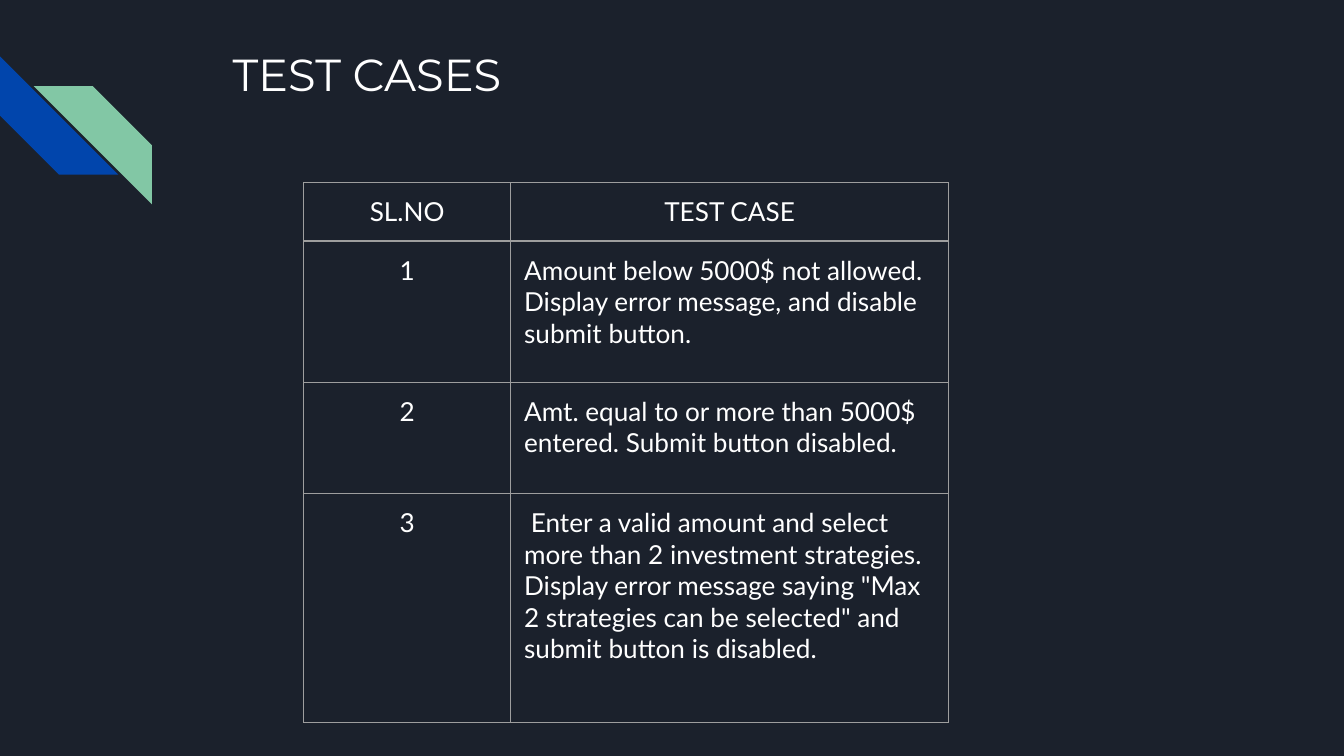
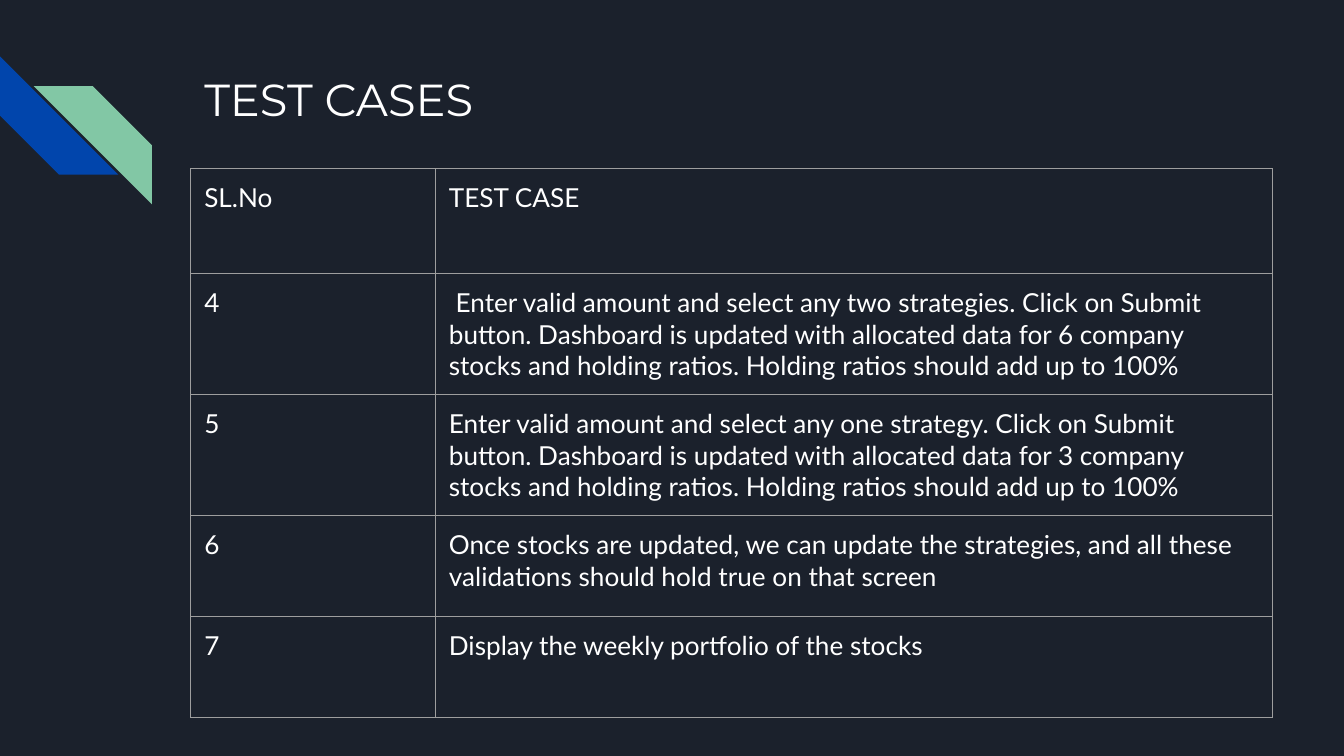
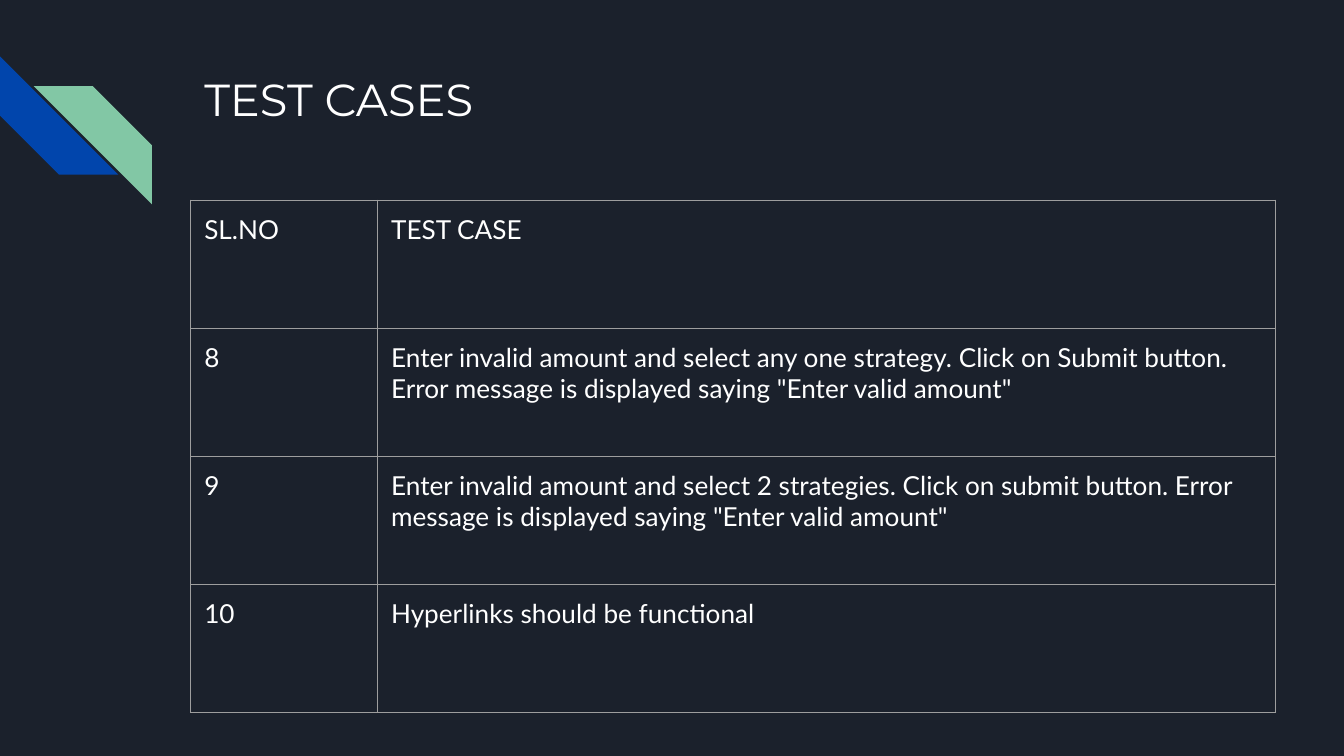
from dataclasses import dataclass

from lxml import etree
from pptx import Presentation, util as u
from pptx.dml.color import RGBColor
from pptx.enum import shapes, text
from pptx.oxml import ns

# Shared look
BACKGROUND, BLUE, GREEN = "1B212C", "0145AC", "82C7A5"
WHITE, BORDER = "FFFFFF", "9E9E9E"
TITLE_FONT, BODY_FONT = "Montserrat", "Lato"
TITLE_SIZE, BODY_SIZE, BORDER_WIDTH = 24, 14, 0.75
TITLE_ONLY = 5

# Square grid: the slide is 100 columns wide and 56.25 rows high
SLIDE_WIDTH, SLIDE_HEIGHT = u.Inches(10), u.Inches(5.625)
INSET = 1
TITLE_COLUMNS, TITLE_ROWS = 77, 10


@dataclass(frozen=True)
class Stripe:
    left: float
    top: float
    color: str
    rotation: int = 0
    mirrored: bool = False


@dataclass(frozen=True)
class TestSlide:
    title_at: tuple[float, float]
    table_at: tuple[float, float]
    columns: list[float]
    rows: list[float]
    cases: list[tuple[str, str]]
    centered: bool = False


STRIPE_SIZE = 8.8
STRIPES = [
    Stripe(0, 4.2, BLUE, rotation=270),
    Stripe(2.5, 6.4, GREEN, mirrored=True),
]

TEST_SLIDES = [
    TestSlide((16.3, 2.5), (22.6, 13.6), [15.4, 32.6], [4.3, 10.5, 8.3, 17], [
        ("SL.NO", "TEST CASE"),
        ("1", "Amount below 5000$ not allowed. Display error message, and disable "
              "submit button."),
        ("2", "Amt. equal to or more than 5000$ entered. Submit button disabled."),
        ("3", " Enter a valid amount and select more than 2 investment strategies. "
              'Display error message saying "Max 2 strategies can be selected" and '
              "submit button is disabled."),
    ], centered=True),
    TestSlide((14.2, 4.3), (14.2, 12.55), [18.2, 62.3], [7.8, 9, 9, 7.5, 7.5], [
        ("SL.No", "TEST CASE"),
        ("4", " Enter valid amount and select any two strategies. Click on Submit "
              "button. Dashboard is updated with allocated data for 6 company stocks "
              "and holding ratios. Holding ratios should add up to 100%"),
        ("5", "Enter valid amount and select any one strategy. Click on Submit "
              "button. Dashboard is updated with allocated data for 3 company stocks "
              "and holding ratios. Holding ratios should add up to 100%"),
        ("6", "Once stocks are updated, we can update the strategies, and all these "
              "validations should hold true on that screen"),
        ("7", "Display the weekly portfolio of the stocks"),
    ]),
    TestSlide((14.2, 4.3), (14.2, 14.9), [13.9, 66.8], [9.53] * 4, [
        ("SL.NO", "TEST CASE"),
        ("8", "Enter invalid amount and select any one strategy. Click on Submit "
              'button. Error message is displayed saying "Enter valid amount"'),
        ("9", "Enter invalid amount and select 2 strategies. Click on submit button. "
              'Error message is displayed saying "Enter valid amount"'),
        ("10", "Hyperlinks should be functional"),
    ]),
]


def grid(steps: float) -> int:
    return round(SLIDE_WIDTH * steps / 100)


def paint(fill, color: str) -> None:
    fill.solid()
    fill.fore_color.rgb = RGBColor.from_string(color)


def set_insets(holder) -> None:
    for side in ("left", "top", "right", "bottom"):
        setattr(holder, f"margin_{side}", grid(INSET))


def write(frame, words: str, font: str, size: float, centered: bool = False) -> None:
    paragraph = frame.paragraphs[0]
    paragraph.alignment = text.PP_ALIGN.CENTER if centered else text.PP_ALIGN.LEFT
    run = paragraph.add_run()
    run.text = words
    run.font.name, run.font.size = font, u.Pt(size)
    paint(run.font.fill, WHITE)


def add_stripes(presentation, slide) -> None:
    """Draw the corner stripes and move them to the master, behind everything."""
    master_tree = presentation.slide_master.shapes.element
    for order, stripe in enumerate(STRIPES):
        shape = slide.shapes.add_shape(
            shapes.MSO_SHAPE.DIAGONAL_STRIPE, grid(stripe.left), grid(stripe.top),
            grid(STRIPE_SIZE), grid(STRIPE_SIZE))
        shape.adjustments[0] = 0.5
        shape.rotation = stripe.rotation
        shape.shadow.inherit = False
        shape.line.fill.background()
        paint(shape.fill, stripe.color)
        if stripe.mirrored:
            shape.element.find(".//" + ns.qn("a:xfrm")).set("flipH", "1")
        shape.element.find(".//" + ns.qn("p:cNvPr")).set("id", str(100 + order))
        master_tree.insert(2 + order, shape.element)


def add_title(slide, left: float, top: float) -> None:
    title = slide.shapes.title
    title.left, title.top = grid(left), grid(top)
    title.width, title.height = grid(TITLE_COLUMNS), grid(TITLE_ROWS)
    frame = title.text_frame
    frame.word_wrap = True
    frame.auto_size = text.MSO_AUTO_SIZE.NONE
    frame.vertical_anchor = text.MSO_ANCHOR.TOP
    set_insets(frame)
    write(frame, "TEST CASES", TITLE_FONT, TITLE_SIZE)


def add_borders(cell_properties) -> None:
    for position, side in enumerate("LRTB"):
        line = etree.Element(ns.qn(f"a:ln{side}"), w=str(u.Pt(BORDER_WIDTH)))
        fill = etree.SubElement(line, ns.qn("a:solidFill"))
        etree.SubElement(fill, ns.qn("a:srgbClr"), val=BORDER)
        cell_properties.insert(position, line)


def add_case_table(slide, content: TestSlide) -> None:
    left, top = content.table_at
    graphic = slide.shapes.add_table(
        len(content.rows), len(content.columns), grid(left), grid(top),
        grid(sum(content.columns)), grid(sum(content.rows)))
    table = graphic.table
    table.first_row = table.horz_banding = False
    for column, width in zip(table.columns, content.columns):
        column.width = grid(width)
    for row, height, case in zip(table.rows, content.rows, content.cases):
        row.height = grid(height)
        is_header = case is content.cases[0]
        for index, (cell, words) in enumerate(zip(row.cells, case)):
            cell.fill.background()
            set_insets(cell)
            centered = content.centered and (is_header or index == 0)
            write(cell.text_frame, words, BODY_FONT, BODY_SIZE, centered)
    for cell_properties in graphic.element.iter(ns.qn("a:tcPr")):
        add_borders(cell_properties)


def main() -> None:
    presentation = Presentation()
    presentation.slide_width, presentation.slide_height = SLIDE_WIDTH, SLIDE_HEIGHT
    paint(presentation.slide_master.background.fill, BACKGROUND)
    for content in TEST_SLIDES:
        slide = presentation.slides.add_slide(presentation.slide_layouts[TITLE_ONLY])
        add_title(slide, *content.title_at)
        add_case_table(slide, content)
    add_stripes(presentation, presentation.slides[0])
    presentation.save("out.pptx")


if __name__ == "__main__":
    main()
